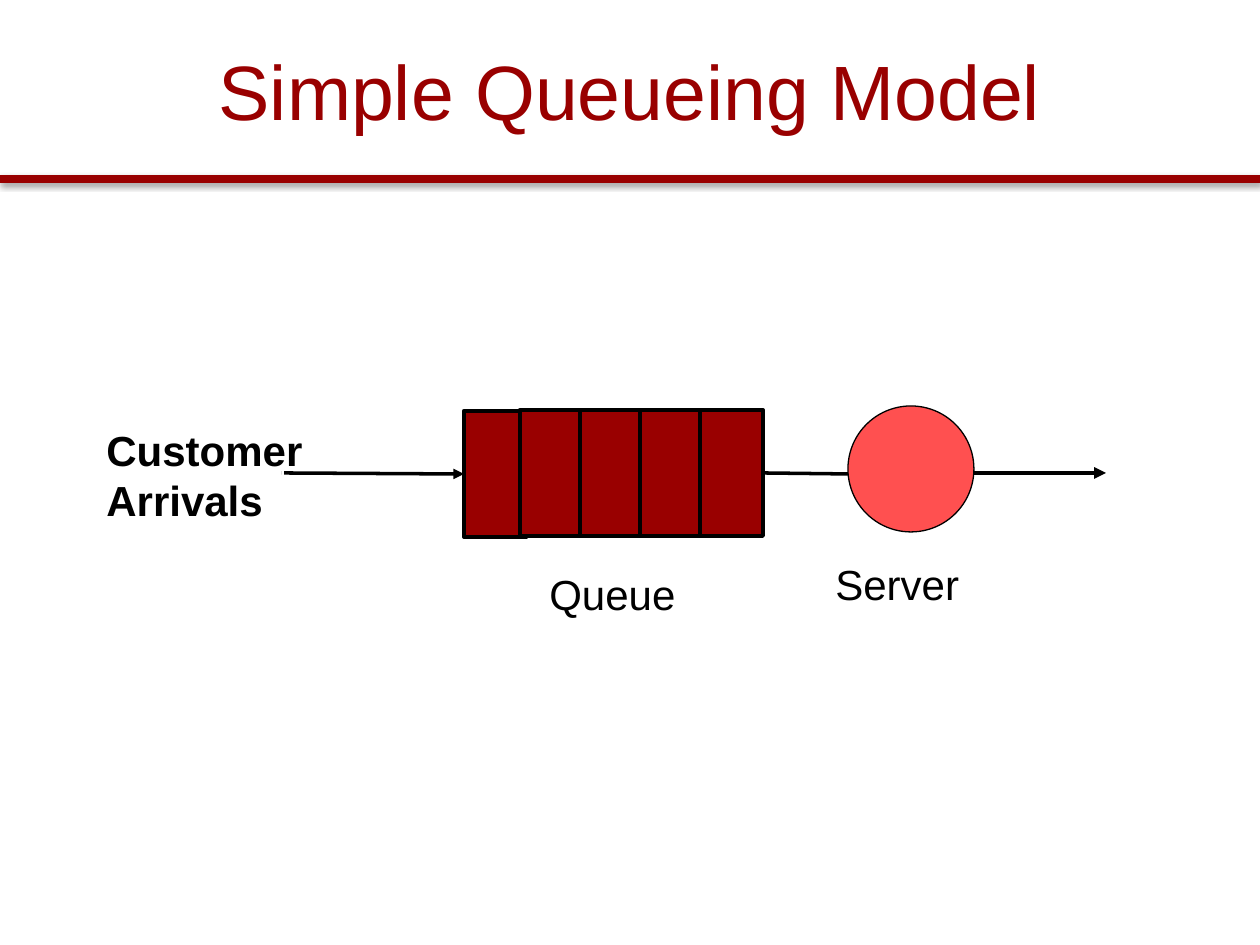
from lxml import etree
from pptx import Presentation
from pptx.dml.color import RGBColor
from pptx.enum.shapes import MSO_CONNECTOR, MSO_SHAPE
from pptx.enum.text import MSO_ANCHOR, PP_ALIGN
from pptx.oxml import parse_xml
from pptx.oxml.ns import nsdecls, qn
from pptx.util import Pt

STRAIGHT = MSO_CONNECTOR.STRAIGHT
RECTANGLE, OVAL = MSO_SHAPE.RECTANGLE, MSO_SHAPE.OVAL
MIDDLE, LEFT, CENTER = MSO_ANCHOR.MIDDLE, PP_ALIGN.LEFT, PP_ALIGN.CENTER
PX = 914400 // 126
RED, BLACK, WHITE, CORAL = "990000", "000000", "FFFFFF", "FF5050"


def color(value):
    return RGBColor.from_string(value)


def write(shape, lines, size, text_color, align=LEFT, bold=False, wrap=False):
    frame = shape.text_frame
    frame.word_wrap = wrap
    frame.vertical_anchor = MIDDLE
    for index, line in enumerate(lines):
        paragraph = frame.add_paragraph() if index else frame.paragraphs[0]
        paragraph.alignment = align
        run = paragraph.add_run()
        run.text = line
        run.font.name = "Arial"
        run.font.size = Pt(size)
        run.font.bold = bold
        run.font.color.rgb = color(text_color)


presentation = Presentation()
presentation.slide_width = 1260 * PX
presentation.slide_height = 945 * PX
slide = presentation.slides.add_slide(presentation.slide_layouts[6])
shapes = slide.shapes

# Title rule and flow lines: start, end, colour, width, arrowhead
connectors = []
for start, end, line_color, width, arrow in [
    ((0, 179), (1260, 179), RED, 5, False),
    ((282, 473), (464, 473), BLACK, 2, True),
    ((970, 473), (1106, 473), BLACK, 2.25, True),
    ((762, 473), (852, 474), BLACK, 2, False),
]:
    connector = shapes.add_connector(
        STRAIGHT, *[value * PX for value in start + end])
    connector.line.color.rgb = color(line_color)
    connector.line.width = Pt(width)
    if arrow:
        line = connector.line._get_or_add_ln()
        etree.SubElement(line, qn("a:tailEnd"), type="triangle")
    etree.SubElement(connector._element.spPr, qn("a:effectLst"))
    connectors.append(connector)
title_rule, arrival_arrow, departure_arrow, service_line = connectors

# Soft shadow under the title rule
title_rule._element.spPr.find(qn("a:effectLst")).append(parse_xml(
    f'<a:outerShdw {nsdecls("a")} blurRad="39370" dist="20320" dir="5400000" '
    'rotWithShape="0"><a:srgbClr val="000000"><a:alpha val="38000"/>'
    '</a:srgbClr></a:outerShdw>'))

# Arrivals label
arrivals = shapes.add_shape(RECTANGLE, 94 * PX, 413 * PX, 189 * PX, 124 * PX)
arrivals.shadow.inherit = False
arrivals.fill.background()
arrivals.line.color.rgb = color(WHITE)
arrivals.line.width = Pt(0.75)
write(arrivals, ["Customer", "Arrivals"], 24, BLACK, bold=True)

# Queue and server labels
for label, left, top in [("Queue", 537, 547), ("Server", 823, 537)]:
    box = shapes.add_textbox(left * PX, top * PX, 189 * PX, 94 * PX)
    write(box, [label], 24, BLACK)

# Queue slots, then the server
slots = [(464, 411)] + [(520 + 60 * index, 410) for index in range(4)]
nodes = []
for kind, left, top, size, fill, width in [
    *[(RECTANGLE, left, top, 63, RED, 2.25) for left, top in slots],
    (OVAL, 848, 406, 126, CORAL, 0.75),
]:
    node = shapes.add_shape(kind, left * PX, top * PX, size * PX, 126 * PX)
    node.shadow.inherit = False
    node.fill.solid()
    node.fill.fore_color.rgb = color(fill)
    node.line.color.rgb = color(BLACK)
    node.line.width = Pt(width)
    nodes.append(node)

# Join the flow lines to the ends of the queue
arrival_arrow.end_connect(nodes[0], 1)
service_line.begin_connect(nodes[4], 3)

# Title
title = shapes.add_textbox(63 * PX, 11 * PX, 1134 * PX, 158 * PX)
write(title, ["Simple Queueing Model"], 44, RED, align=CENTER, wrap=True)

presentation.save("out.pptx")
